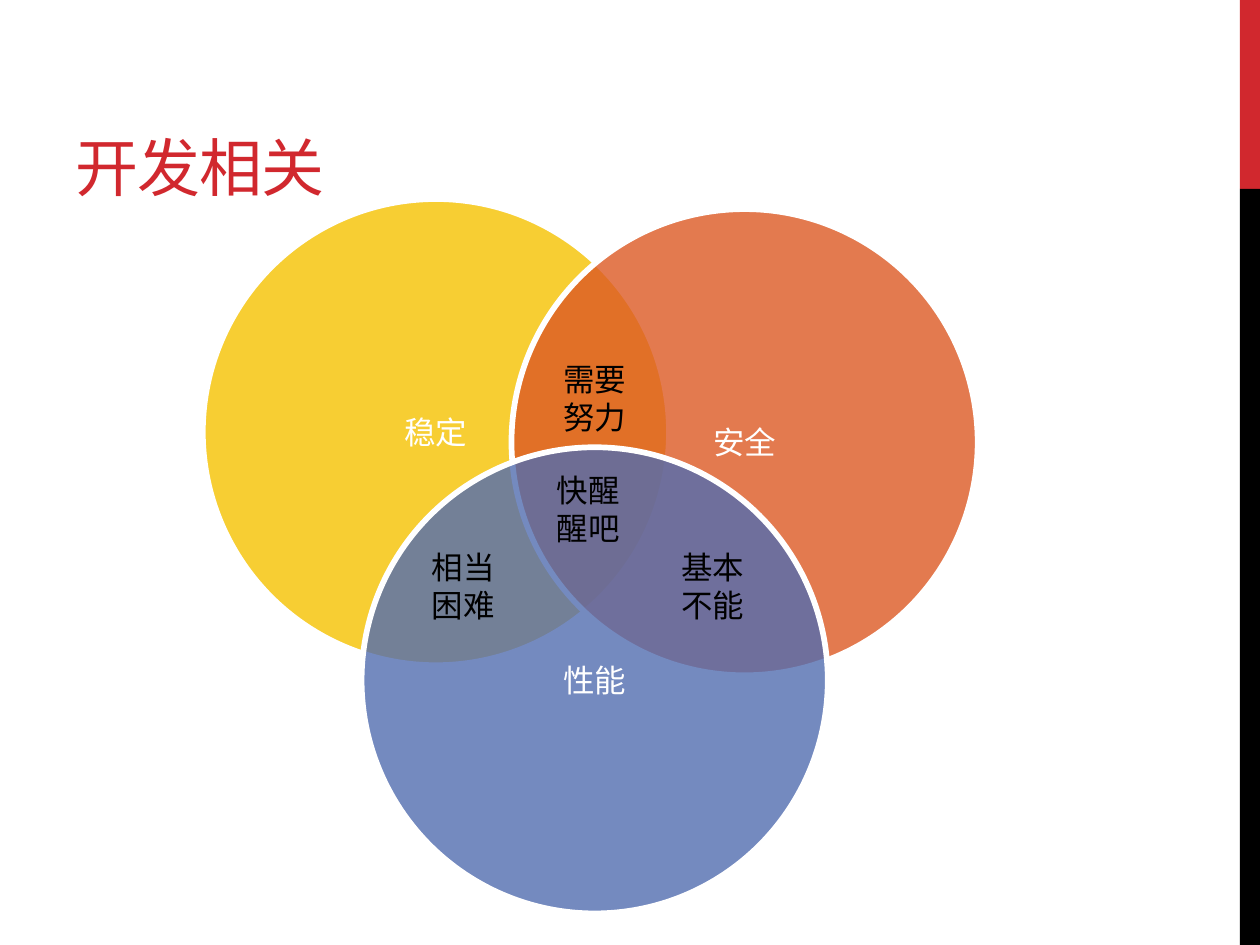
from dataclasses import dataclass

import pptx
import pptx.dml.color
import pptx.enum.shapes
import pptx.enum.text
import pptx.oxml.ns
import pptx.util
from lxml import etree

PX = 9144
DIAMETER = 370
LABEL_W, LABEL_H = 79, 71
COLORS = {
    "red": "D1282E", "black": "000000", "white": "FFFFFF",
    "yellow": "F5C201", "orange": "DC5924", "blue": "526DB0",
}
SHAPES = pptx.enum.shapes.MSO_SHAPE
ANCHOR = pptx.enum.text.MSO_ANCHOR
ALIGN = pptx.enum.text.PP_ALIGN


@dataclass
class Band:
    y: int
    h: int
    color: str


@dataclass
class Circle:
    text: str
    x: int
    y: int
    color: str


@dataclass
class Label:
    text: str
    x: int
    y: int


BANDS = [Band(0, 150, "red"), Band(150, 600, "black")]
CIRCLES = [
    Circle("稳定", 161, 158, "yellow"),
    Circle("安全", 406, 166, "orange"),
    Circle("性能", 287, 355, "blue"),
]
LABELS = [
    Label("需要努力", 437, 281),
    Label("相当困难", 333, 430),
    Label("基本不能", 531, 430),
    Label("快醒醒吧", 432, 369),
]


def rgb(name: str):
    return pptx.dml.color.RGBColor.from_string(COLORS[name])


def emu(*lengths: int) -> list:
    return [pptx.util.Emu(n * PX) for n in lengths]


def write(sp, text: str, color: str, frame: dict, align=ALIGN.LEFT,
          size: int = 18, font: str = "Courier New"):
    tf = sp.text_frame
    for name, value in {"word_wrap": True, **frame}.items():
        setattr(tf, name, value)
    p = tf.paragraphs[0]
    p.alignment = align
    r = p.add_run()
    r.text = text
    for name, value in {"name": font, "size": pptx.util.Pt(size)}.items():
        setattr(r.font, name, value)
    r.font.color.rgb = rgb(color)
    return r


def add_filled(slide, kind, box: list, color: str):
    sp = slide.shapes.add_shape(kind, *box)
    sp.shadow.inherit = False
    sp.fill.solid()
    sp.fill.fore_color.rgb = rgb(color)
    return sp


def add_band(slide, band: Band) -> None:
    sp = add_filled(slide, SHAPES.RECTANGLE, emu(984, band.y, 16, band.h), band.color)
    sp.line.fill.background()


def add_circle(slide, circle: Circle) -> None:
    box = emu(circle.x, circle.y, DIAMETER, DIAMETER)
    sp = add_filled(slide, SHAPES.OVAL, box, circle.color)
    clr = sp._element.spPr.find(".//" + pptx.oxml.ns.qn("a:srgbClr"))
    etree.SubElement(clr, pptx.oxml.ns.qn("a:alpha"), val="80000")
    sp.line.color.rgb = rgb("white")
    sp.line.width = pptx.util.Pt(3.25)
    write(sp, circle.text, "white", {"vertical_anchor": ANCHOR.MIDDLE}, ALIGN.CENTER)


def add_label(slide, label: Label) -> None:
    sp = slide.shapes.add_textbox(*emu(label.x, label.y, LABEL_W, LABEL_H))
    grow = pptx.enum.text.MSO_AUTO_SIZE.SHAPE_TO_FIT_TEXT
    write(sp, label.text, "black", {"auto_size": grow})


def add_title(slide, text: str) -> None:
    sp = slide.shapes.add_textbox(*emu(50, 17, 633, 150))
    r = write(sp, text, "red", {"vertical_anchor": ANCHOR.BOTTOM},
              size=36, font="Montserrat")
    r.font._element.set("spc", "-60")


def main() -> None:
    prs = pptx.Presentation()
    prs.slide_width, prs.slide_height = emu(1000, 750)
    slide = prs.slides.add_slide(prs.slide_layouts[6])
    for band in BANDS:
        add_band(slide, band)
    add_title(slide, "开发相关")
    for circle in CIRCLES:
        add_circle(slide, circle)
    for label in LABELS:
        add_label(slide, label)
    prs.save("out.pptx")


if __name__ == "__main__":
    main()
